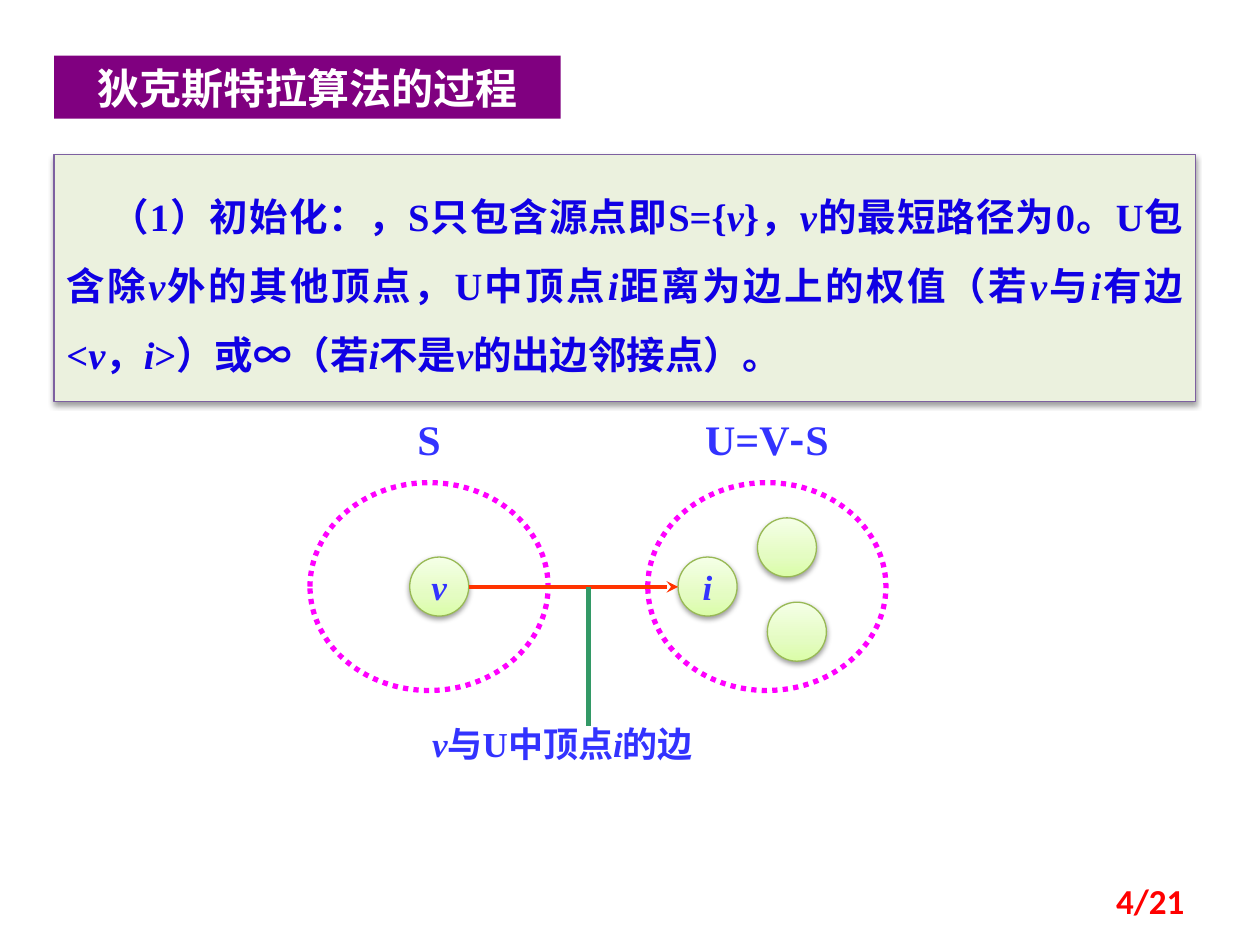
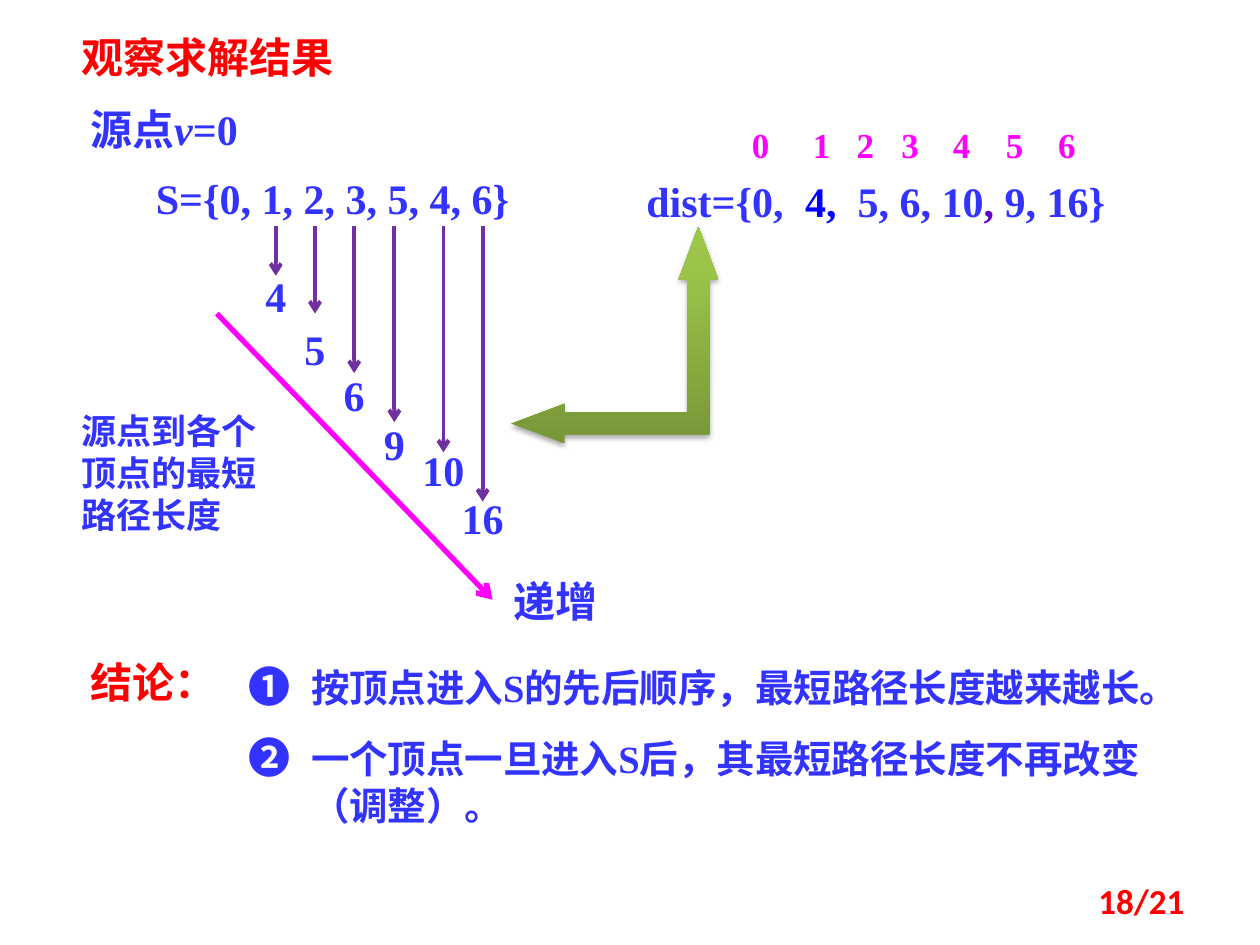
from dataclasses import dataclass

from lxml.etree import SubElement
from pptx import Presentation
from pptx.dml.color import RGBColor
from pptx.enum.dml import MSO_LINE
from pptx.enum.lang import MSO_LANGUAGE_ID as LANG
from pptx.enum.shapes import MSO_CONNECTOR, MSO_SHAPE
from pptx.enum.text import MSO_ANCHOR, MSO_AUTO_SIZE, PP_ALIGN
from pptx.oxml.ns import qn
from pptx.util import Cm, Pt


@dataclass(frozen=True)
class Theme:
    latin: str = "Times New Roman"
    cjk: str = "Noto Sans CJK SC"
    footer_font: str = "Calibri"
    blue: str = "3333FF"
    statement_ink: str = "1000E4"
    strong_blue: str = "0000FF"
    violet: str = "6600CC"
    red: str = "FF0000"
    white: str = "FFFFFF"
    banner: str = "800080"
    panel: str = "EBF1DE"
    panel_line: str = "7D60A0"
    magenta: str = "FF00FF"
    edge: str = "FF3300"
    pointer: str = "339966"
    step: str = "7030A0"
    vertex_line: str = "98B955"
    vertex_fill: tuple = ((0, "DAFDA7"), (35, "E4FCC2"), (100, "F5FFE7"))
    arrow_fill: tuple = ((0, "779737"), (80, "9BC348"), (100, "9DC746"))
    large: int = 24
    medium: int = 22
    small: int = 20


T = Theme()
LAST_PAGE = 21


def rgb(color):
    return RGBColor.from_string(color)


def box(*lengths):
    return [Cm(n) for n in lengths]


def add_runs(p, segments, size=T.large, color=T.blue, font=T.latin, bold=True):
    """Fill p from a string, or (text, overrides) pairs; *x* is set in italics."""
    if isinstance(segments, str):
        segments = [(segments, {})]
    for text, changes in segments:
        for n, part in enumerate(text.split("*")):
            if not part:
                continue
            r = p.add_run()
            r.text = part
            f = r.font
            f.name = changes.get("font", font)
            f.size = Pt(changes.get("size", size))
            f.color.rgb = rgb(changes.get("color", color))
            f.bold, f.italic = bold, n % 2 == 1
            f.language_id = LANG.SIMPLIFIED_CHINESE
            SubElement(r._r.get_or_add_rPr(), qn("a:ea"), typeface=T.cjk)


def prepare(tf, inset=(0.25, 0.13), anchor=MSO_ANCHOR.TOP, wrap=True):
    tf.auto_size = MSO_AUTO_SIZE.NONE
    tf.word_wrap = wrap
    tf.vertical_anchor = anchor
    tf.margin_left = tf.margin_right = Cm(inset[0])
    tf.margin_top = tf.margin_bottom = Cm(inset[1])


def set_tabs(p, stops):
    tabs = SubElement(p._p.get_or_add_pPr(), qn("a:tabLst"))
    for stop in stops:
        SubElement(tabs, qn("a:tab"), pos=str(Cm(stop)), algn="l")


def set_indent(p, left, first):
    pPr = p._p.get_or_add_pPr()
    pPr.set("marL", str(Cm(left)))
    pPr.set("indent", str(Cm(first)))


def add_label(slide, at, segments, align=PP_ALIGN.LEFT, inset=(0.25, 0.13),
              anchor=MSO_ANCHOR.TOP, tabs=(), **style):
    tf = slide.shapes.add_textbox(*box(*at)).text_frame
    prepare(tf, inset, anchor)
    p = tf.paragraphs[0]
    p.alignment = align
    if tabs:
        set_tabs(p, tabs)
    add_runs(p, segments, **style)


def place(sp, at):
    sp.left, sp.top, sp.width, sp.height = box(*at)


def set_title(slide, at, text, color, align=PP_ALIGN.LEFT):
    sp = slide.shapes.title
    place(sp, at)
    prepare(sp.text_frame)
    p = sp.text_frame.paragraphs[0]
    p.alignment = align
    add_runs(p, text, color=color, font=T.cjk)
    return sp


def set_numbered_list(sp, at, items):
    """Write (mark, text) items with hanging marks into a body placeholder."""
    place(sp, at)
    tf = sp.text_frame
    prepare(tf)
    for n, (mark, text) in enumerate(items):
        p = tf.paragraphs[0] if n == 0 else tf.add_paragraph()
        set_indent(p, 1.27, -1.27)
        SubElement(p._p.get_or_add_pPr(), qn("a:buNone"))
        p.space_before = Pt(12 if n else 0)
        add_runs(p, [(mark + "\t", {}), (text, {"size": T.medium})])


def add_page_number(slide, page):
    add_label(slide, (18.21, 17.65, 5.92, 1.02), f"{page}/{LAST_PAGE}", PP_ALIGN.RIGHT,
              anchor=MSO_ANCHOR.MIDDLE, size=T.small, color=T.red, font=T.footer_font)


def add_shape(slide, kind, at, line=None, width=0.75):
    sp = slide.shapes.add_shape(kind, *box(*at))
    sp.shadow.inherit = False
    if line:
        sp.line.color.rgb = rgb(line)
        sp.line.width = Pt(width)
    else:
        sp.line.fill.background()
    return sp


def add_soft_shadow(sp, alpha=38):
    effects = sp._element.spPr.find(qn("a:effectLst"))
    shadow = SubElement(effects, qn("a:outerShdw"), blurRad=str(Pt(3.1)),
                        dist=str(Pt(1.6)), dir="5400000", rotWithShape="0")
    ink = SubElement(shadow, qn("a:srgbClr"), val="000000")
    SubElement(ink, qn("a:alpha"), val=str(alpha * 1000))


def fill_upward(sp, stops):
    """Give sp a gradient that runs from the bottom to the top."""
    sp.fill.gradient()
    sp.fill.gradient_angle = 90
    stop_list = sp._element.spPr.find(qn("a:gradFill")).find(qn("a:gsLst"))
    for old in list(stop_list):
        stop_list.remove(old)
    for percent, color in stops:
        stop = SubElement(stop_list, qn("a:gs"), pos=str(percent * 1000))
        SubElement(stop, qn("a:srgbClr"), val=color)


def add_line(slide, start, end, color, width, head=None):
    line = slide.shapes.add_connector(MSO_CONNECTOR.STRAIGHT, *box(*start, *end))
    line.line.color.rgb = rgb(color)
    line.line.width = Pt(width)
    if head:
        SubElement(line.line._get_or_add_ln(), qn("a:tailEnd"), type=head)
    SubElement(line._element.spPr, qn("a:effectLst"))


def add_vertex_set(slide, left, name):
    width = 4.8
    sp = add_shape(slide, MSO_SHAPE.OVAL, (left, 9.73, width, 4.19), T.magenta, 3)
    sp.fill.background()
    sp.line.dash_style = MSO_LINE.ROUND_DOT
    add_label(slide, (left, 8.33, width, 1.02), name, PP_ALIGN.CENTER, (0, 0))


def add_vertex(slide, left, top, name=""):
    sp = add_shape(slide, MSO_SHAPE.OVAL, (left, top, 1.19, 1.19), T.vertex_line)
    fill_upward(sp, T.vertex_fill)
    add_soft_shadow(sp)
    if name:
        prepare(sp.text_frame, anchor=MSO_ANCHOR.MIDDLE, wrap=False)
        p = sp.text_frame.paragraphs[0]
        p.alignment = PP_ALIGN.CENTER
        add_runs(p, f"*{name}*", size=T.small)


def add_statement(slide, at, text):
    sp = add_shape(slide, MSO_SHAPE.RECTANGLE, at, T.panel_line)
    sp.fill.solid()
    sp.fill.fore_color.rgb = rgb(T.panel)
    add_soft_shadow(sp)
    prepare(sp.text_frame, (0.25, 0.3))
    p = sp.text_frame.paragraphs[0]
    set_indent(p, 0, 0.88)
    p.alignment = PP_ALIGN.JUSTIFY
    p.line_spacing = 1.5
    add_runs(p, text, size=T.medium, color=T.statement_ink)


def build_initialization(prs):
    slide = prs.slides.add_slide(prs.slide_layouts[5])
    add_statement(slide, (1.09, 3.12, 23.01, 4.98),
                  "（1）初始化：，S只包含源点即S={*v*}，*v*的最短路径为0。"
                  "U包含除*v*外的其他顶点，U中顶点*i*距离为边上的权值"
                  "（若*v*与*i*有边<*v*，*i*>）或∞（若*i*不是*v*的出边邻接点）。")
    title = set_title(slide, (1.09, 1.12, 10.21, 1.27), "狄克斯特拉算法的过程",
                      T.white, PP_ALIGN.CENTER)
    title.fill.solid()
    title.fill.fore_color.rgb = rgb(T.banner)

    add_vertex_set(slide, 6.25, "S")
    add_vertex_set(slide, 13.06, [("U=V", {}), ("-", {"font": T.cjk}), ("S", {})])
    add_vertex(slide, 8.26, 11.23, "v")
    add_vertex(slide, 13.67, 11.23, "i")
    add_vertex(slide, 15.47, 12.14)
    add_vertex(slide, 15.27, 10.44)
    add_label(slide, (8.46, 14.43, 7.59, 1.09), "*v*与U中顶点*i*的边", size=T.small)
    edge_y, pointer_x = 11.83, 11.86
    add_line(slide, (9.45, edge_y), (13.67, edge_y), T.edge, 2.25, "stealth")
    add_line(slide, (pointer_x, edge_y), (pointer_x, 14.63), T.pointer, 3)
    add_page_number(slide, 4)


def build_result(prs):
    slide = prs.slides.add_slide(prs.slide_layouts[1])
    set_title(slide, (1.4, 0.51, 7.54, 1.27), "观察求解结果", T.red)
    add_label(slide, (1.57, 1.96, 4.37, 1.27), "源点*v*=0")
    add_label(slide, (2.97, 3.48, 7.47, 1.02), "S={0, 1, 2, 3, 5, 4, 6}",
              PP_ALIGN.CENTER, (0, 0))
    add_label(slide, (13.03, 3.53, 10.19, 1.02),
              [("dist={0,\t", {}), ("4,\t", {"color": T.strong_blue}), ("5, 6, 10", {}),
               (", ", {"color": T.violet}), ("9, 16}", {})],
              inset=(0, 0), tabs=(3.2, 4.26))
    add_label(slide, (14.91, 2.36, 7.54, 1.12), "\t".join("0123456"),
              tabs=(1.23, 2.11, 3.01, 4.05, 5.12, 6.17), size=T.small, color=T.magenta)

    add_line(slide, (4.37, 6.32), (9.93, 12.09), T.magenta, 3, "arrow")
    add_label(slide, (10.11, 11.48, 2.97, 1.27), "递增", font=T.cjk)
    distances = [  # length, arrow x, arrow tip, label top
        ("4", 5.56, 5.56, 5.33), ("5", 6.35, 6.32, 6.4), ("6", 7.14, 7.52, 7.32),
        ("9", 7.95, 8.51, 8.31), ("10", 8.94, 9.12, 8.84), ("16", 9.73, 10.11, 9.8),
    ]
    for length, x, tip, top in distances:
        add_line(slide, (x, 4.55), (x, tip), T.step, 2.25, "arrow")
        add_label(slide, (x - 0.7, top, 1.4, 1.27), length, PP_ALIGN.CENTER)
    add_label(slide, (1.4, 8.13, 4.17, 2.82), "源点到各个顶点的最短路径长度",
              size=T.small, font=T.cjk)

    set_numbered_list(slide.placeholders[1], (4.75, 13.18, 19.25, 3.76), [
        ("❶", "按顶点进入S的先后顺序，最短路径长度越来越长。"),
        ("❷", "一个顶点一旦进入S后，其最短路径长度不再改变（调整）。"),
    ])
    add_label(slide, (1.57, 13.11, 2.77, 1.27), "结论：", color=T.red, font=T.cjk)

    arrow = add_shape(slide, MSO_SHAPE.LEFT_UP_ARROW, (10.31, 4.57, 4.17, 4.37))
    for n, value in enumerate((0.108, 0.096, 0.258)):
        arrow.adjustments[n] = value
    fill_upward(arrow, T.arrow_fill)
    add_soft_shadow(arrow, 35)
    add_page_number(slide, 18)


def main():
    prs = Presentation()
    prs.slide_width, prs.slide_height = Cm(25.4), Cm(19.05)
    build_initialization(prs)
    build_result(prs)
    prs.save("out.pptx")


if __name__ == "__main__":
    main()
